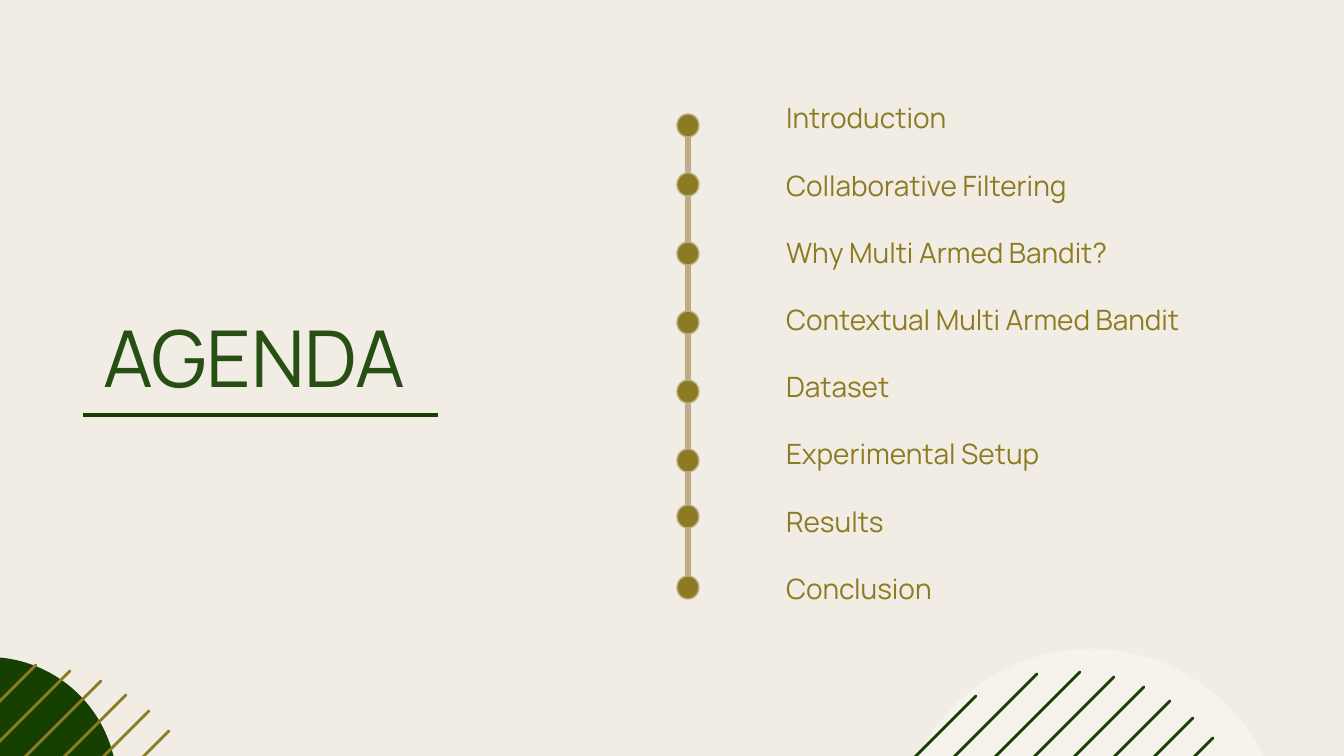
"""Build an agenda slide with a dotted timeline and striped corner circles."""
import pptx
import pptx.util
import pptx.dml.color
import pptx.enum.shapes
import pptx.enum.text
import pptx.oxml.ns
import lxml.etree

UNIT = 914400 / 134.4
FONT = "Manrope"
COLORS = {
    "back": "F2EDE4", "green": "154001", "title": "274E13",
    "gold": "8C7B23", "tan": "BFAD8A", "white": "FFFFFF",
}
qn = pptx.oxml.ns.qn
kinds = pptx.enum.shapes.MSO_SHAPE
anchors = pptx.enum.text.MSO_ANCHOR


def px(*sizes):
    return [pptx.util.Emu(round(size * UNIT)) for size in sizes]


def draw_line(ends, color, weight, cap="flat"):
    line = slide.shapes.add_connector(
        pptx.enum.shapes.MSO_CONNECTOR.STRAIGHT, *px(*ends))
    line.line.color.rgb = rgb[color]
    line.line.width = pptx.util.Pt(weight)
    line.line._get_or_add_ln().set("cap", cap)
    lxml.etree.SubElement(line._element.spPr, qn("a:effectLst"))


rgb = {name: pptx.dml.color.RGBColor.from_string(code)
       for name, code in COLORS.items()}
deck = pptx.Presentation()
deck.slide_width, deck.slide_height = px(1344, 756)
slide = deck.slides.add_slide(deck.slide_layouts[5])
slide.background.fill.solid()
slide.background.fill.fore_color.rgb = rgb["back"]

corners = [
    ((-141, 657, 258, 258), "green", 100, "gold",
     [(169, 731, 275), (149, 711, 268), (126, 695, 262),
      (101, 681, 250), (70, 671, 229), (36, 665, 200)]),
    ((899, 649, 384, 382), "white", 36, "green",
     [(1213, 738, 266), (1193, 718, 270), (1170, 701, 256), (1144, 687, 249),
      (1114, 677, 230), (1080, 672, 200), (1037, 674, 156), (976, 696, 72)]),
]
for box, fill, alpha, color, stripes in corners:
    disc = slide.shapes.add_shape(kinds.OVAL, *px(*box))
    disc.shadow.inherit = False
    disc.fill.solid()
    disc.fill.fore_color.rgb = rgb[fill]
    disc.line.fill.background()
    if alpha < 100:
        tint = disc._element.spPr.find(".//" + qn("a:srgbClr"))
        lxml.etree.SubElement(tint, qn("a:alpha"), val=str(alpha * 1000))
    for x, y, run in stripes:
        draw_line((x, y, x - run, y + run), color, 1.5, "rnd")

title = slide.shapes.title
title.left, title.top, title.width, title.height = px(90, 288, 718, 128)
items = slide.shapes.add_textbox(*px(773, 94, 718, 558))
title.text_frame.text = "AGENDA"
items.text_frame.text = "\n".join([
    "Introduction", "Collaborative Filtering", "Why Multi Armed Bandit?",
    "Contextual Multi Armed Bandit", "Dataset", "Experimental Setup",
    "Results", "Conclusion",
])
for shape, size, color, base in [
    (title, 42, "title", 13), (items, 15, "gold", 47),
]:
    frame = shape.text_frame
    frame.word_wrap = True
    frame.auto_size = pptx.enum.text.MSO_AUTO_SIZE.NONE
    frame.vertical_anchor = anchors.BOTTOM
    frame.margin_left, frame.margin_right = px(13, 13)
    frame.margin_top, frame.margin_bottom = px(13, base)
    for index, para in enumerate(frame.paragraphs):
        para.alignment = pptx.enum.text.PP_ALIGN.LEFT
        para.space_before = pptx.util.Pt(18 if index else 0)
        for run in para.runs:
            run.font.name = FONT
            run.font.size = pptx.util.Pt(size)
            run.font.color.rgb = rgb[color]

draw_line((688, 114, 688, 587), "tan", 3)
for top in (114, 173, 242, 311, 380, 449, 505, 576):
    dot = slide.shapes.add_shape(
        kinds.FLOWCHART_CONNECTOR, *px(677, top, 22, 23))
    dot.shadow.inherit = False
    dot.fill.solid()
    dot.fill.fore_color.rgb = rgb["gold"]
    dot.line.color.rgb = rgb["tan"]
    dot.line.width = pptx.util.Pt(0.75)

draw_line((83, 415, 438, 415), "green", 2.25)
deck.save("out.pptx")
